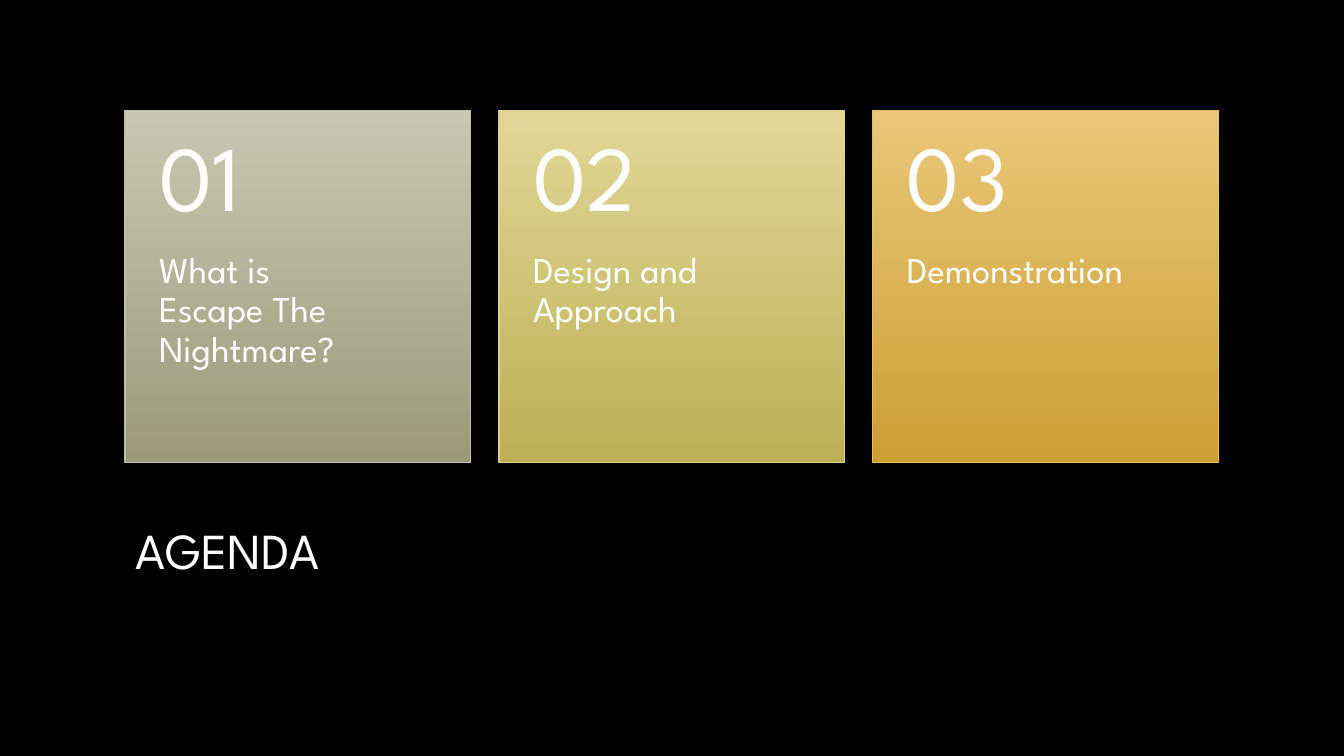
from pptx import Presentation
from pptx.dml.color import RGBColor
from pptx.enum.text import MSO_ANCHOR, PP_ALIGN
from pptx.enum.shapes import MSO_SHAPE
from pptx.util import Pt

PX = 12192000 / 1344
FONT = "League Spartan"
CARD_LEFT, CARD_TOP, CARD_W, CARD_H, CARD_STEP = 125, 111, 346, 352, 374
NUMBER_H = 141

CARDS = [
    ("01", ["What is", "Escape The Nightmare?"], "C8C8B2", "9A9A7B", "BFBFA5"),
    ("02", ["Design and Approach"], "E1D797", "BDAF55", "DCD084"),
    ("03", ["Demonstration"], "EAC778", "CC9F32", "E7BF5F"),
]


def px(*lengths):
    """Turn pixel lengths into EMU."""
    return [round(n * PX) for n in lengths]


def add_text(box, lines, size, insets, anchor=MSO_ANCHOR.TOP, spacing=1.0):
    """Add a white text box; box is left, top, width, height in pixels."""
    tf = slide.shapes.add_textbox(*px(*box)).text_frame
    tf.word_wrap = True
    tf.vertical_anchor = anchor
    tf.margin_left, tf.margin_top, tf.margin_right, tf.margin_bottom = px(*insets)
    p = tf.paragraphs[0]
    p.alignment = PP_ALIGN.LEFT
    p.line_spacing = spacing
    for i, line in enumerate(lines):
        if i:
            p.add_line_break()
        r = p.add_run()
        r.text = line
        r.font.name = FONT
        r.font.size = Pt(size)
        r.font.color.rgb = RGBColor.from_string("FFFFFF")


prs = Presentation()
prs.slide_width, prs.slide_height = px(1344, 756)
slide = prs.slides.add_slide(prs.slide_layouts[6])
slide.background.fill.solid()
slide.background.fill.fore_color.rgb = RGBColor.from_string("000000")

add_text((126, 514, 1094, 117), ["AGENDA"], 36, (10, 5, 10, 5))

for i, (number, topic, top_color, bottom_color, line_color) in enumerate(CARDS):
    left = CARD_LEFT + i * CARD_STEP
    sp = slide.shapes.add_shape(
        MSO_SHAPE.RECTANGLE, *px(left, CARD_TOP, CARD_W, CARD_H))
    sp.shadow.inherit = False
    sp.fill.gradient()
    sp.fill.gradient_angle = 270
    for stop, position, color in zip(
            sp.fill.gradient_stops, (0, 1), (top_color, bottom_color)):
        stop.position = position
        stop.color.rgb = RGBColor.from_string(color)
    sp.line.color.rgb = RGBColor.from_string(line_color)
    sp.line.width = Pt(0.75)

    add_text((left, CARD_TOP + NUMBER_H, CARD_W, CARD_H - NUMBER_H),
             topic, 26, (34, 0, 34, 36), spacing=0.9)
    add_text((left, CARD_TOP, CARD_W, NUMBER_H),
             [number], 66, (34, 18, 34, 18), MSO_ANCHOR.MIDDLE, 0.9)

prs.save("out.pptx")
